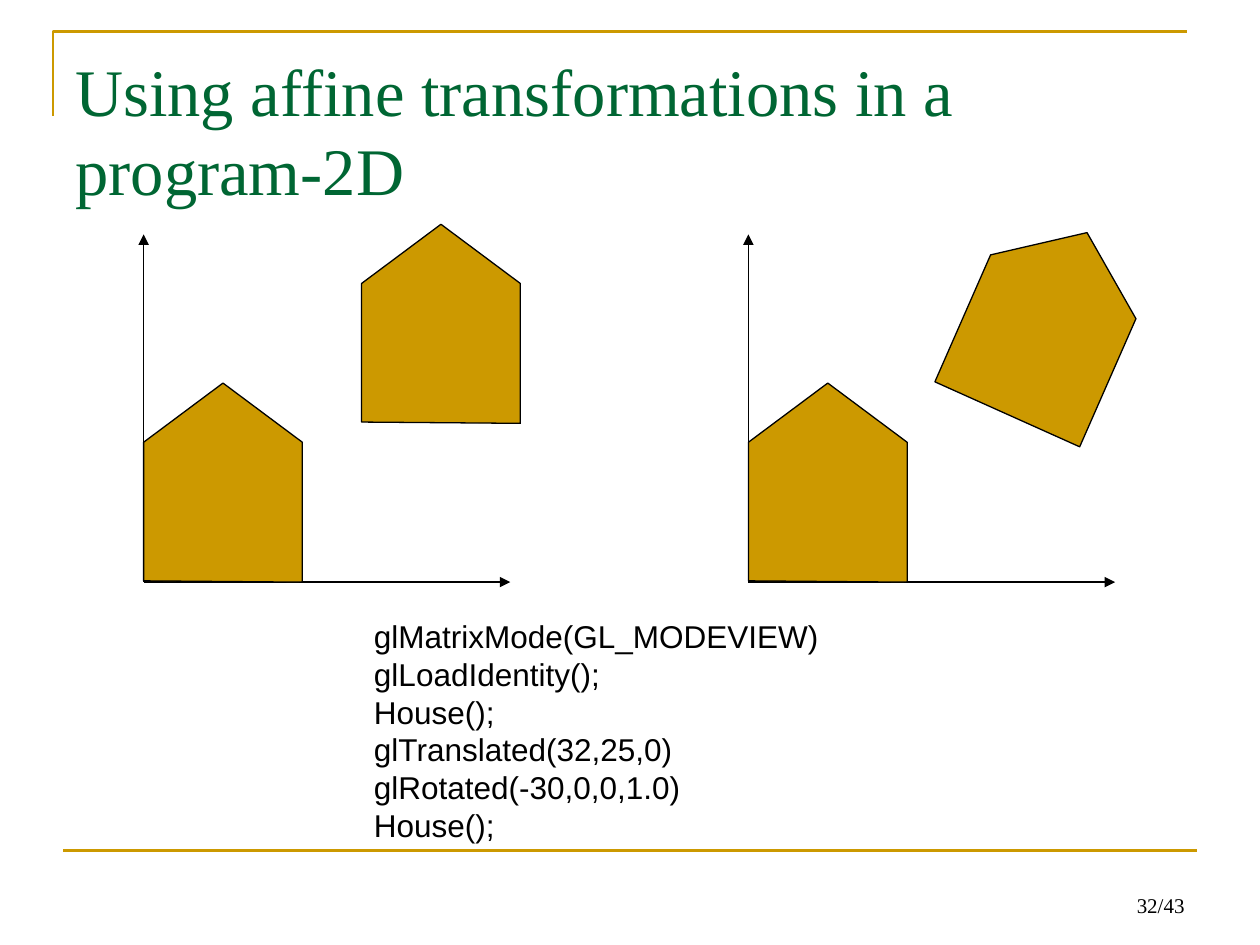
from dataclasses import dataclass

import pptx
import pptx.dml.color
import pptx.enum.shapes
import pptx.enum.text
import pptx.oxml
import pptx.oxml.ns
import pptx.util
from pptx.util import Inches, Pt

COLORS = {"gold": "CC9900", "green": "006633", "black": "000000"}
ALIGN = pptx.enum.text.PP_ALIGN
ANCHOR = pptx.enum.text.MSO_ANCHOR

# House outline in inches from its top left corner
HOUSE = [(0, 1.57), (0, 0.47), (0.63, 0), (1.26, 0.47), (1.26, 1.58)]
AXIS_UP, AXIS_RIGHT = 2.76, 2.91
ORIGIN_Y = 4.62


@dataclass
class House:
    left: float
    top: float
    rotation: float = 0


@dataclass
class TextBlock:
    left: float
    top: float
    width: float
    height: float
    paragraphs: list[str]
    font: dict
    color: str
    layout: dict
    frame: dict


def rgb(name: str):
    return pptx.dml.color.RGBColor.from_string(COLORS[name])


def style_line(line, color: str, width: float) -> None:
    line.color.rgb = rgb(color)
    line.width = Pt(width)


def draw_line(page, start: tuple, end: tuple, color: str, width: float, arrow: bool = False) -> None:
    line = page.shapes.add_connector(
        pptx.enum.shapes.MSO_CONNECTOR.STRAIGHT, *map(Inches, start + end))
    style_line(line.line, color, width)
    properties = line._element.spPr
    if arrow:
        head = pptx.oxml.parse_xml(
            f'<a:tailEnd {pptx.oxml.ns.nsdecls("a")} type="triangle"/>')
        line.line._get_or_add_ln().append(head)
    properties.append(pptx.oxml.parse_xml(f'<a:effectLst {pptx.oxml.ns.nsdecls("a")}/>'))


def draw_outline(page, points: list, color: str, width: float, fill: str = ""):
    corners = [(Inches(x), Inches(y)) for x, y in points]
    builder = page.shapes.build_freeform(*corners[0])
    builder.add_line_segments(corners[1:], close=bool(fill))
    shape = builder.convert_to_shape()
    shape.shadow.inherit = False
    if fill:
        shape.fill.solid()
        shape.fill.fore_color.rgb = rgb(fill)
    else:
        shape.fill.background()
    style_line(shape.line, color, width)
    return shape


def draw_house(page, house: House) -> None:
    points = [(house.left + x, house.top + y) for x, y in HOUSE]
    draw_outline(page, points, "black", 0.75, "gold").rotation = house.rotation


def draw_axes(page, left: float) -> None:
    for end in ((left, ORIGIN_Y - AXIS_UP), (left + AXIS_RIGHT, ORIGIN_Y)):
        draw_line(page, (left, ORIGIN_Y), end, "black", 0.75, arrow=True)


def set_all(target, values: dict) -> None:
    for name, value in values.items():
        setattr(target, name, value)


def draw_text(page, block: TextBlock) -> None:
    box = page.shapes.add_textbox(
        *map(Inches, (block.left, block.top, block.width, block.height)))
    frame = box.text_frame
    set_all(frame, block.frame)
    for index, text in enumerate(block.paragraphs):
        para = frame.paragraphs[0] if index == 0 else frame.add_paragraph()
        para.text = text
        set_all(para, block.layout)
        for span in para.runs:
            set_all(span.font, block.font)
            span.font.color.rgb = rgb(block.color)


TEXTS = [
    # Slide number
    TextBlock(7.17, 6.83, 2.33, 0.5, ["32/43"],
              {"name": "Times New Roman", "size": Pt(12)}, "black",
              {"alignment": ALIGN.RIGHT},
              {"word_wrap": True, "vertical_anchor": ANCHOR.BOTTOM}),
    # Title
    TextBlock(0.5, 0.35, 9, 1.25, ["Using affine transformations in a program-2D"],
              {"name": "Times New Roman", "size": Pt(38)}, "green",
              {"alignment": ALIGN.LEFT, "line_spacing": Pt(45.2)},
              {"word_wrap": True, "vertical_anchor": ANCHOR.TOP}),
    # Code, where \v is a line break inside a paragraph
    TextBlock(2.87, 4.85, 3.73, 2.2,
              ["glMatrixMode(GL_MODEVIEW)", "glLoadIdentity();",
               "House();\vglTranslated(32,25,0)", "glRotated(-30,0,0,1.0)", "House();"],
              {"name": "Arial", "size": Pt(18)}, "black",
              {"alignment": ALIGN.LEFT, "line_spacing": Pt(21.55)},
              {"word_wrap": False, "vertical_anchor": ANCHOR.TOP}),
]

# Each plot: left of the axes, then its houses
PLOTS = [
    (1.14, [House(1.14, 3.04), House(2.87, 1.78)]),
    (5.94, [House(5.94, 3.04), House(7.68, 1.78, 23.7)]),
]


def main() -> None:
    deck = pptx.Presentation()
    deck.slide_width, deck.slide_height = Inches(10), Inches(7.5)
    page = deck.slides.add_slide(deck.slide_layouts[6])

    # Frame lines
    draw_outline(page, [(0.42, 0.92), (0.42, 0.25), (9.42, 0.25)], "gold", 1.5)
    draw_line(page, (0.5, 6.75), (9.5, 6.75), "gold", 1.5)

    # Plots
    for left, houses in PLOTS:
        draw_axes(page, left)
        for house in houses:
            draw_house(page, house)

    # Text
    for block in TEXTS:
        draw_text(page, block)

    deck.save("out.pptx")


if __name__ == "__main__":
    main()
